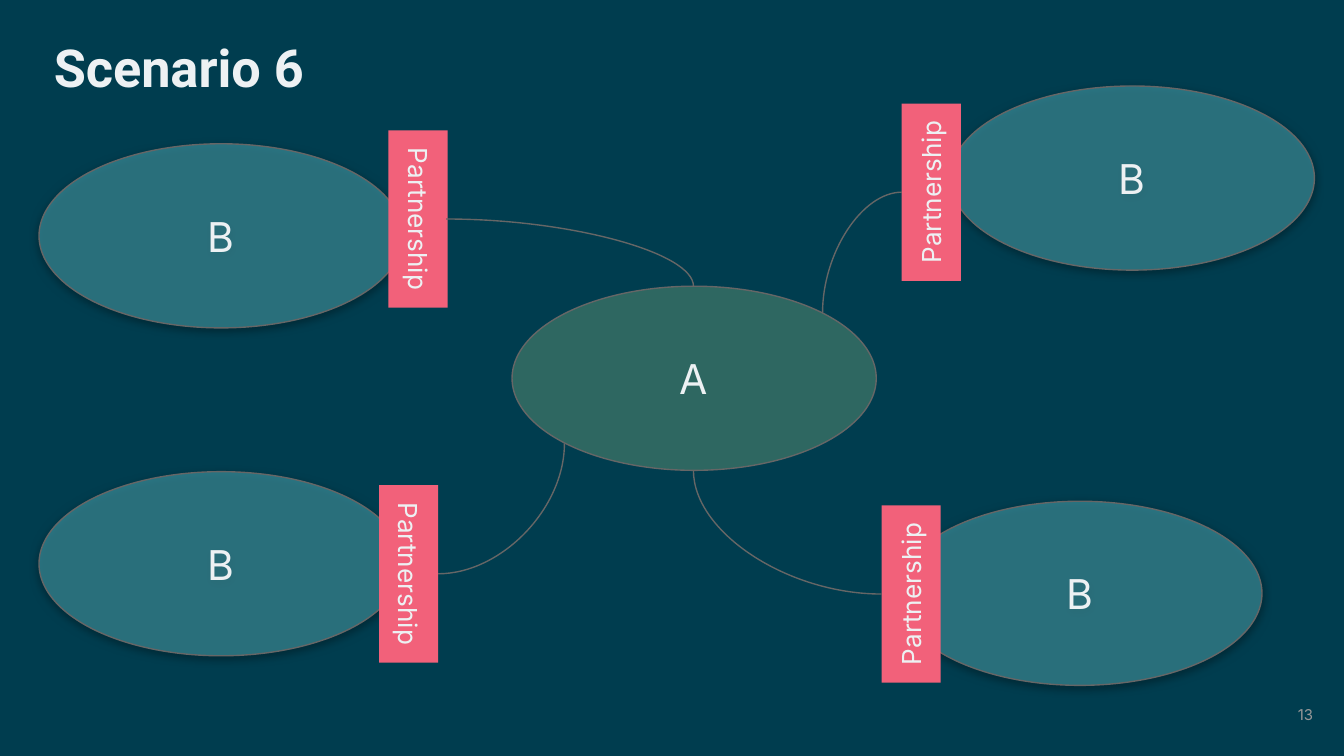
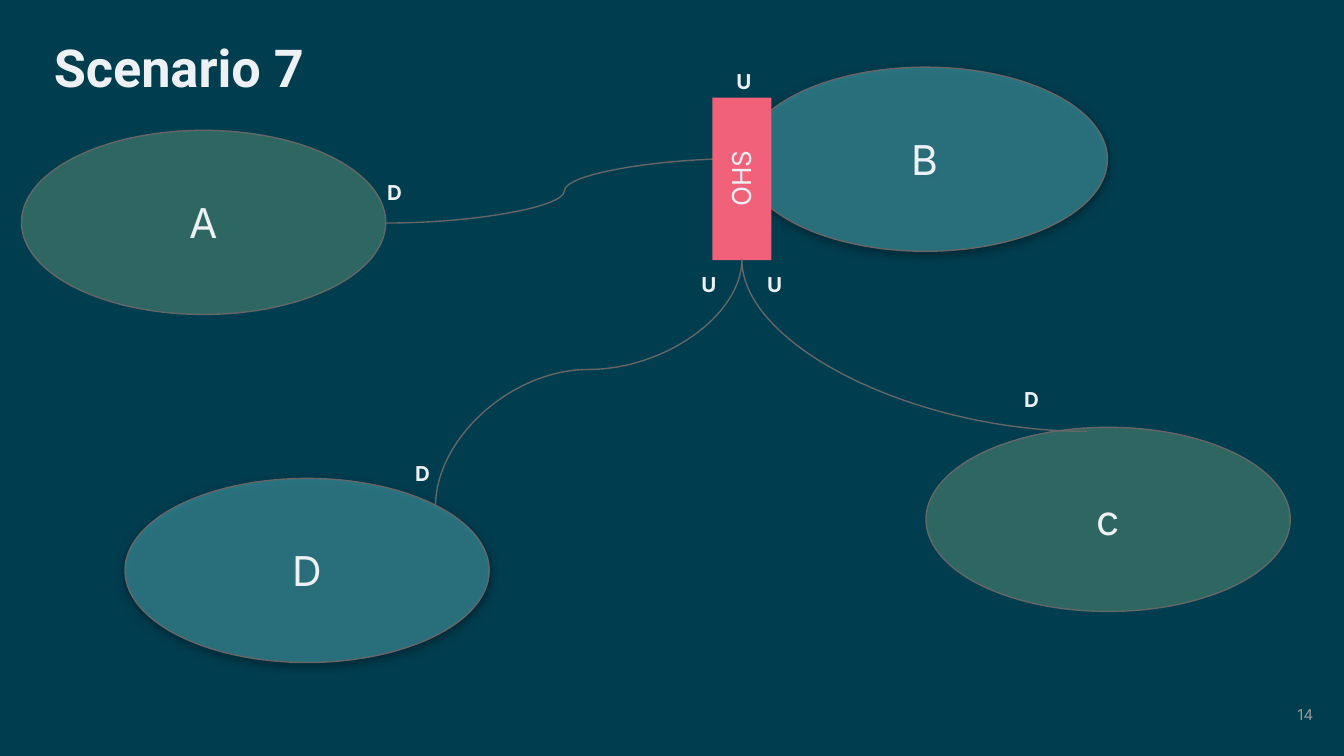
from pptx import Presentation
from pptx.dml.color import RGBColor
from pptx.enum.shapes import MSO_CONNECTOR, MSO_SHAPE
from pptx.enum.text import MSO_ANCHOR, MSO_AUTO_SIZE, PP_ALIGN
from pptx.oxml import parse_xml
from pptx.oxml.ns import nsdecls, qn
from pptx.util import Inches, Pt

WIDTH = Inches(10)
HEIGHT = WIDTH * 9 // 16
NIGHT, PALE, GREY, EDGE = "003D4F", "EDF1F3", "999999", "666666"
GREEN, TEAL, PINK = "6B9E78", "47A1AD", "F2617A"
OVAL = (2.71, 1.37)
THICK = 0.44
LABEL = (0.47, 0.39)
SIDES = ("margin_left", "margin_top", "margin_right", "margin_bottom")

TITLE = {"size": Pt(28), "name": "Roboto", "bold": True}
NUMBER = {"size": Pt(8), "name": "Inter"}
LETTER = {"size": Pt(22), "name": "Inter"}
TAG = {"size": Pt(14), "name": "Inter"}
MARK = {"size": Pt(11), "name": "Inter", "bold": True}

MIDDLE = {"vertical_anchor": MSO_ANCHOR.MIDDLE}
GROW = {"vertical_anchor": MSO_ANCHOR.TOP,
        "auto_size": MSO_AUTO_SIZE.SHAPE_TO_FIT_TEXT}


def rgb(code):
    """Return the colour for a hex string."""
    return RGBColor.from_string(code)


def assign(target, values):
    """Set each attribute in values on target."""
    for name, value in values.items():
        setattr(target, name, value)


def write(shape, text, font, frame, align=PP_ALIGN.CENTER, color=PALE, inset=0.1):
    """Put one styled line of text in a shape."""
    body = shape.text_frame
    assign(body, {side: Inches(inset) for side in SIDES})
    assign(body, {"word_wrap": True, **frame})
    line = body.paragraphs[0]
    line.text = text
    line.alignment = align
    assign(line.font, font)
    line.font.color.rgb = rgb(color)


def label(slide, box, text, font, frame, **style):
    """Add a text box."""
    shape = slide.shapes.add_textbox(*map(Inches, box))
    write(shape, text, font, frame, **style)


def solid(slide, kind, box, color):
    """Add a filled shape with no shadow."""
    shape = slide.shapes.add_shape(kind, *map(Inches, box))
    shape.shadow.inherit = False
    shape.fill.solid()
    shape.fill.fore_color.rgb = rgb(color)
    return shape


def oval(slide, left, top, text, color):
    """Add a translucent context oval; teal ones cast a shadow."""
    shape = solid(slide, MSO_SHAPE.OVAL, (left, top, *OVAL), color)
    alpha = 58 if color == TEAL else 44
    props = shape._element.spPr
    tint = props.find(qn("a:solidFill")).find(qn("a:srgbClr"))
    tint.append(parse_xml(f'<a:alpha {nsdecls("a")} val="{alpha * 1000}"/>'))
    shape.line.color.rgb = rgb(EDGE)
    shape.line.width = Pt(0.75)
    if color == TEAL:
        props.find(qn("a:effectLst")).append(parse_xml(
            f'<a:outerShdw {nsdecls("a")} blurRad="{Pt(4.5)}" dist="{Pt(1.5)}" '
            'dir="5400000" algn="bl" rotWithShape="0"><a:srgbClr val="000000">'
            '<a:alpha val="50000"/></a:srgbClr></a:outerShdw>'))
    write(shape, text, LETTER, MIDDLE)


def tag(slide, x, y, text, length, turn):
    """Add a turned pink tag centred on x, y."""
    box = (x - length / 2, y - THICK / 2, length, THICK)
    shape = solid(slide, MSO_SHAPE.RECTANGLE, box, PINK)
    shape.line.fill.background()
    shape.rotation = turn
    write(shape, text, TAG, GROW)


def link(slide, start, end, bends=1, rise=False, adjust=0.5):
    """Add a curve from start to end that sets off sideways, or upright if rise."""
    (ax, ay), (bx, by) = start, end
    points = (ax, ay, bx, by)
    if rise:
        mx, my = (ax + bx) / 2, (ay + by) / 2
        dx, dy = (ay - by) / 2, (bx - ax) / 2
        points = (mx - dx, my - dy, mx + dx, my + dy)
    line = slide.shapes.add_connector(MSO_CONNECTOR.CURVE, *map(Inches, points))
    line.line.color.rgb = rgb(EDGE)
    line.line.width = Pt(0.75)
    props = line._element.spPr
    if rise:
        props.find(qn("a:xfrm")).set("rot", "16200000")
    shape = props.find(qn("a:prstGeom"))
    shape.set("prst", f"curvedConnector{bends + 1}")
    if bends == 2:
        guides = shape.find(qn("a:avLst"))
        guides.append(parse_xml(f'<a:gd {nsdecls("a")} name="adj1" '
                                f'fmla="val {round(adjust * 100000)}"/>'))
    props.append(parse_xml(f'<a:effectLst {nsdecls("a")}/>'))


def base(deck, title, number):
    """Add a dark slide with its title and number."""
    slide = deck.slides.add_slide(deck.slide_layouts[6])
    slide.background.fill.solid()
    slide.background.fill.fore_color.rgb = rgb(NIGHT)
    label(slide, (0.4, 0.26, 9.19, 0.63), title, TITLE, {},
          align=PP_ALIGN.LEFT, inset=0)
    label(slide, (9.27, 5.1, 0.6, 0.43), number, NUMBER, MIDDLE,
          align=PP_ALIGN.RIGHT, color=GREY)
    return slide


def partners(deck):
    """Build the slide of four partnerships around A."""
    slide = base(deck, "Scenario 6", "13")
    oval(slide, 3.81, 2.13, "A", GREEN)
    for left, top in ((7.07, 0.64), (6.68, 3.73), (0.29, 1.07), (0.29, 3.51)):
        oval(slide, left, top, "B", TEAL)
    for x, y, turn in ((6.93, 1.43, 270), (3.11, 1.63, 90),
                       (6.78, 4.42, 270), (3.04, 4.27, 90)):
        tag(slide, x, y, "Partnership", 1.32, turn)
    link(slide, (6.12, 2.33), (6.71, 1.43), rise=True)
    link(slide, (3.32, 1.63), (5.16, 2.13))
    link(slide, (5.16, 3.5), (6.56, 4.42), rise=True)
    link(slide, (3.26, 4.27), (4.2, 3.3))


def streams(deck):
    """Build the slide of three contexts downstream of B."""
    slide = base(deck, "Scenario 7", "14")
    link(slide, (2.87, 1.66), (5.53, 1.18), bends=2)
    for left, top, text, color in ((0.16, 0.97, "A", GREEN), (5.53, 0.5, "B", TEAL),
                                   (6.89, 3.18, "c", GREEN), (0.93, 3.56, "D", TEAL)):
        oval(slide, left, top, text, color)
    hub = (5.52, 1.93)
    link(slide, hub, (8.09, 3.21), rise=True)
    tag(slide, 5.52, 1.33, "OHS", 1.21, 270)
    link(slide, (3.24, 3.77), hub, bends=2, rise=True, adjust=0.555)
    for left, top, text in ((5.3, 0.42, "U"), (2.7, 1.25, "D"), (7.44, 2.79, "D"),
                            (2.91, 3.34, "D"), (5.04, 1.93, "U"), (5.53, 1.93, "U")):
        label(slide, (left, top, *LABEL), text, MARK, GROW)


def main():
    """Build and save the deck."""
    deck = Presentation()
    assign(deck, {"slide_width": WIDTH, "slide_height": HEIGHT})
    partners(deck)
    streams(deck)
    deck.save("out.pptx")


if __name__ == "__main__":
    main()
